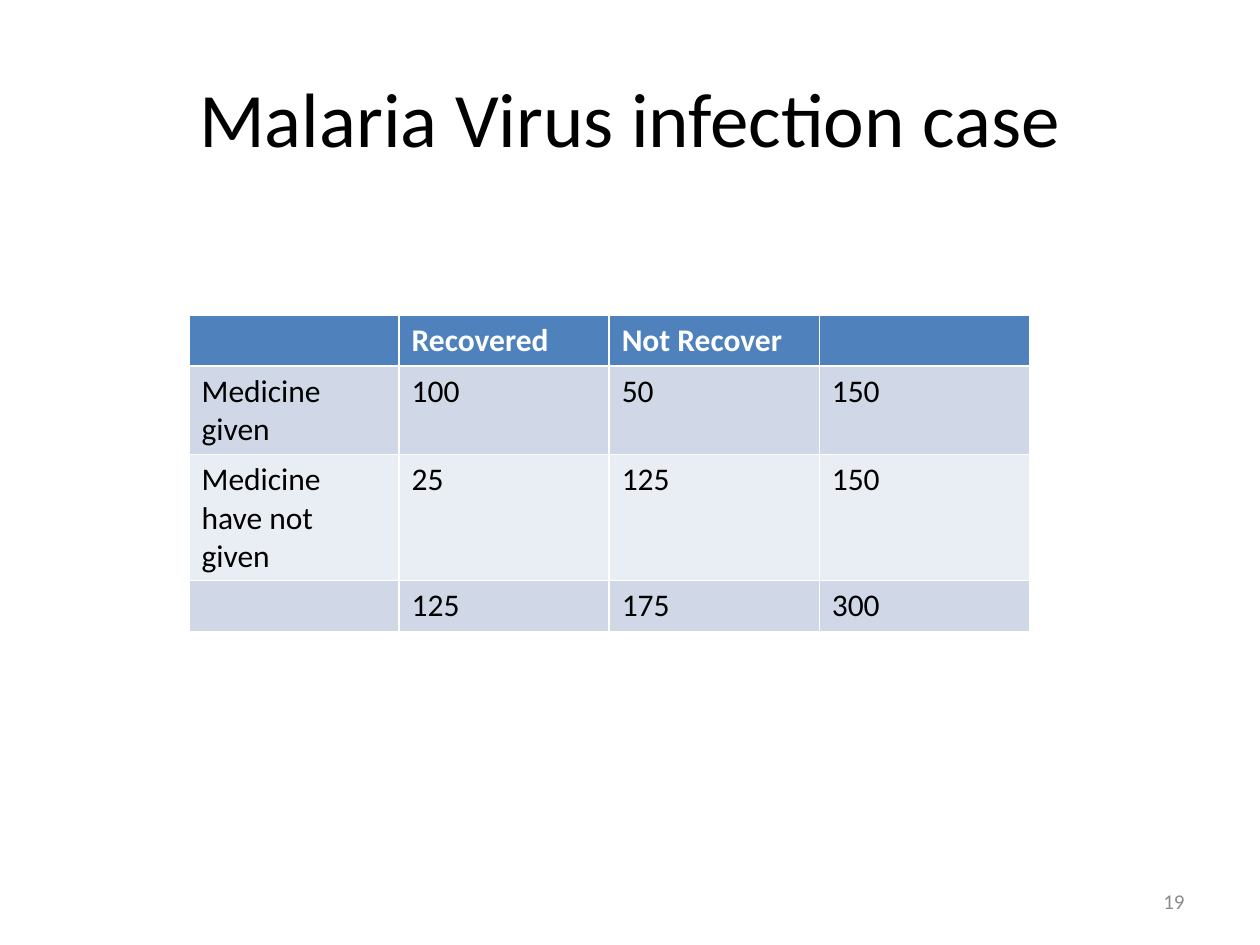
from dataclasses import dataclass
from pptx import Presentation
from pptx.dml.color import RGBColor as RGB
from pptx.enum.text import MSO_ANCHOR as Anchor, PP_ALIGN as Align
from pptx.util import Inches, Pt


@dataclass(frozen=True)
class Theme:
    font: str = "Calibri"
    ink: str = "000000"
    pale: str = "FFFFFF"
    gray: str = "8C8C8C"
    head: str = "4F81BD"
    bands: tuple = ("D0D8E8", "E9EDF4")
    title: int = 44
    body: int = 18
    note: int = 12


THEME = Theme()
ROWS = [
    ["", "Recovered", "Not Recover", ""],
    ["Medicine given", "100", "50", "150"],
    ["Medicine have not given", "25", "125", "150"],
    ["", "125", "175", "300"],
]


def style(para, size, color, bold=False):
    for font in [para.font] + [run.font for run in para.runs]:
        font.name = THEME.font
        font.size = Pt(size)
        font.bold = bold
        font.color.rgb = RGB.from_string(color)


def set_line(frame, text, size, color, align):
    frame.text = text
    frame.word_wrap = True
    frame.vertical_anchor = Anchor.MIDDLE
    para = frame.paragraphs[0]
    para.alignment = align
    style(para, size, color)


def add_title(slide, text, box):
    title = slide.shapes.title
    title.left, title.top, title.width, title.height = box
    set_line(title.text_frame, text, THEME.title, THEME.ink, Align.CENTER)


def add_number(slide, text, box):
    label = slide.shapes.add_textbox(*box)
    set_line(label.text_frame, text, THEME.note, THEME.gray, Align.RIGHT)


def add_grid(slide, rows, box):
    table = slide.shapes.add_table(len(rows), len(rows[0]), *box).table
    for r, row in enumerate(rows):
        top = r == 0
        fill = THEME.head if top else THEME.bands[(r - 1) % 2]
        color = THEME.pale if top else THEME.ink
        for c, text in enumerate(row):
            cell = table.cell(r, c)
            cell.fill.solid()
            cell.fill.fore_color.rgb = RGB.from_string(fill)
            cell.text = text
            style(cell.text_frame.paragraphs[0], THEME.body, color, top)


def main():
    deck = Presentation()
    deck.slide_width, deck.slide_height = Inches(10), Inches(7.5)
    slide = deck.slides.add_slide(deck.slide_layouts[5])
    add_title(slide, "Malaria Virus infection case",
              (Inches(0.5), Inches(0.3), Inches(9), Inches(1.25)))
    add_number(slide, "19",
               (Inches(7.17), Inches(6.95), Inches(2.33), Inches(0.4)))
    add_grid(slide, ROWS,
             (Inches(1.5), Inches(2.5), Inches(6.67), Inches(1.62)))
    deck.save("out.pptx")


if __name__ == "__main__":
    main()
